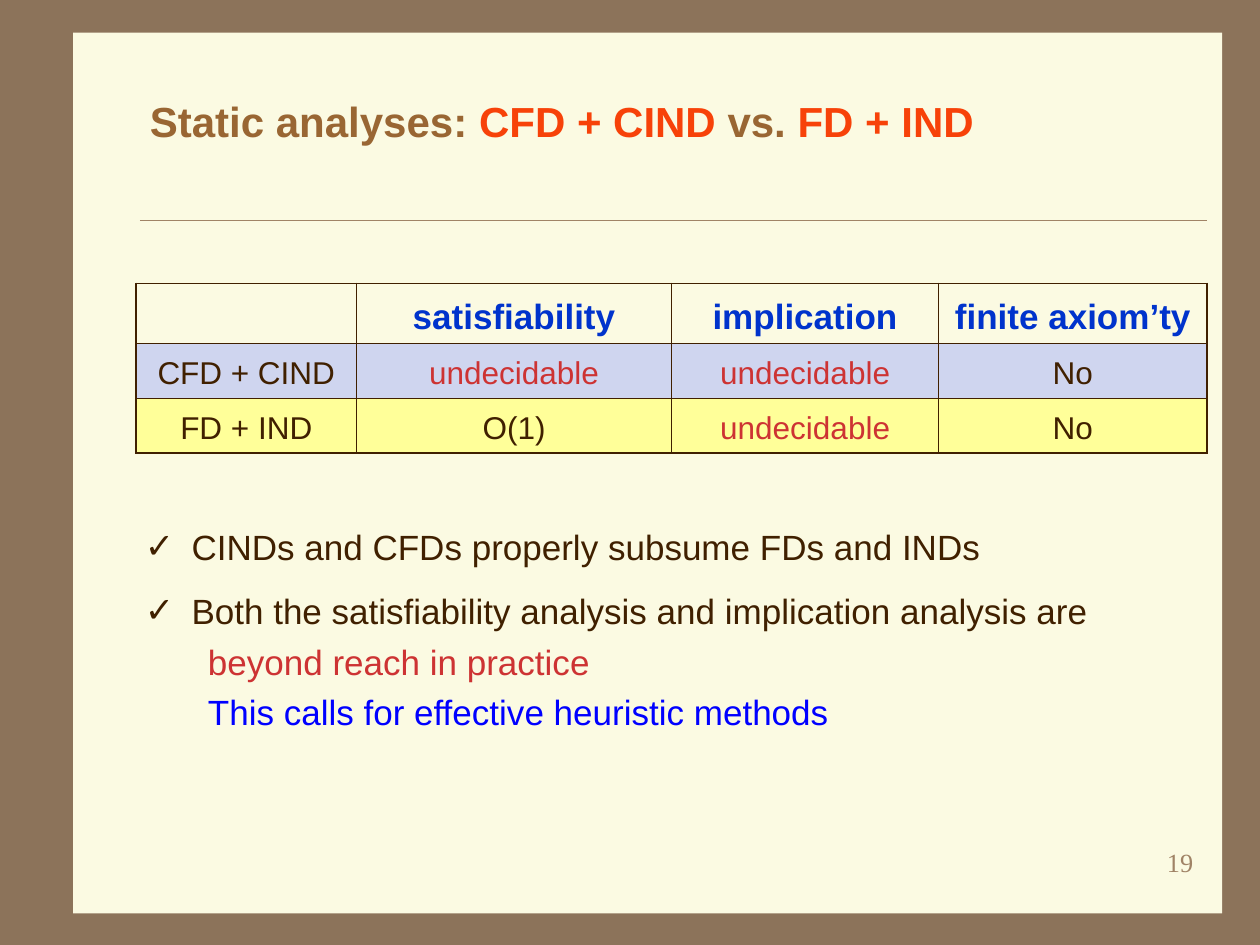
from lxml.etree import SubElement
from pptx import Presentation
from pptx.dml.color import RGBColor
from pptx.enum.shapes import MSO_CONNECTOR, MSO_SHAPE
from pptx.enum.text import MSO_ANCHOR, MSO_AUTO_SIZE, PP_ALIGN
from pptx.oxml.ns import qn
from pptx.util import Inches, Pt

C = dict(frame="8C735A", panel="FBFAE2", rule="A08366", title="996633",
         accent="F74209", head="0033CC", text="402000", warn="CD3333",
         call="0000FF", lilac="CFD5EF", yellow="FFFF99")

TITLE = [("Static analyses: ", "title"), ("CFD + CIND", "accent"),
         (" vs. ", "title"), ("FD + IND", "accent")]
ROWS = [["", "satisfiability", "implication", "finite axiom’ty"],
        ["CFD + CIND", "undecidable", "undecidable", "No"],
        ["FD + IND", "O(1)", "undecidable", "No"]]
ROW_FILLS = [None, "lilac", "yellow"]
COL_WIDTHS = [1.75, 2.5, 2.12, 2.13]
ROW_HEIGHT = 0.42
POINTS = [("CINDs and CFDs properly subsume FDs and INDs", 0, "text"),
          ("Both the satisfiability analysis and implication analysis are", 0, "text"),
          ("beyond reach in practice", 1, "warn"),
          ("This calls for effective heuristic methods", 1, "call")]
LEVELS = [dict(before=12.5, left=0.37, indent=-0.37), dict(before=5, left=0.5, indent=0)]
LEFT, WIDTH = 1.08, 8.5
THIN, THICK = 0.45, 1.08


def rgb(name):
    return RGBColor.from_string(C[name])


def add_run(p, text, color, size, bold=False, font="Arial"):
    r = p.add_run()
    r.text = text
    for key, value in dict(name=font, size=Pt(size), bold=bold).items():
        setattr(r.font, key, value)
    r.font.color.rgb = rgb(color)


def place(sp, *box):
    for key, value in zip(("left", "top", "width", "height"), box):
        setattr(sp, key, Inches(value))


def set_frame(tf, anchor, x=0.11, y=0.05):
    values = dict(margin_left=Inches(x), margin_right=Inches(x), margin_top=Inches(y),
                  margin_bottom=Inches(y), word_wrap=True,
                  auto_size=MSO_AUTO_SIZE.NONE, vertical_anchor=anchor)
    for key, value in values.items():
        setattr(tf, key, value)


def add_color(parent, name):
    SubElement(parent, qn("a:srgbClr"), val=C[name])


def set_borders(cell, row, col):
    outer = dict(L=col == 0, R=col == len(COL_WIDTHS) - 1,
                 T=row == 0, B=row == len(ROWS) - 1)
    tc_pr = cell._tc.get_or_add_tcPr()
    for side, is_outer in outer.items():
        ln = SubElement(tc_pr, qn(f"a:ln{side}"), w=str(Pt(THICK if is_outer else THIN)))
        add_color(SubElement(ln, qn("a:solidFill")), "text")


def add_background(s):
    s.background.fill.solid()
    s.background.fill.fore_color.rgb = rgb("frame")
    panel = s.shapes.add_shape(MSO_SHAPE.RECTANGLE, 0, 0, 0, 0)
    place(panel, 0.58, 0.26, 9.12, 6.99)
    panel.shadow.inherit = False
    panel.fill.solid()
    panel.fill.fore_color.rgb = rgb("panel")
    panel.line.fill.background()
    rule = s.shapes.add_connector(MSO_CONNECTOR.STRAIGHT, Inches(1.11), Inches(1.75),
                                  Inches(LEFT + WIDTH), Inches(1.75))
    rule.line.color.rgb = rgb("rule")
    rule.line.width = Pt(0.25)
    SubElement(rule._element.spPr, qn("a:effectLst"))
    for index, sp in enumerate((panel, rule), 2):
        s.shapes._spTree.insert(index, sp._element)


def add_title(s):
    sp = s.shapes.title
    place(sp, LEFT, 0.5, WIDTH, 0.91)
    set_frame(sp.text_frame, MSO_ANCHOR.MIDDLE)
    p = sp.text_frame.paragraphs[0]
    p.alignment = PP_ALIGN.LEFT
    for text, color in TITLE:
        add_run(p, text, color, 24, True)


def add_grid(s):
    table = s.shapes.add_table(len(ROWS), len(COL_WIDTHS), Inches(LEFT), Inches(2.25),
                               Inches(WIDTH), Inches(ROW_HEIGHT * len(ROWS))).table
    for column, width in zip(table.columns, COL_WIDTHS):
        column.width = Inches(width)
    for i, row in enumerate(ROWS):
        size = 18 if i else 20
        for j, text in enumerate(row):
            cell = table.cell(i, j)
            set_borders(cell, i, j)
            if ROW_FILLS[i]:
                cell.fill.solid()
                cell.fill.fore_color.rgb = rgb(ROW_FILLS[i])
            else:
                cell.fill.background()
            p = cell.text_frame.paragraphs[0]
            p.alignment, p.line_spacing, p.space_before = PP_ALIGN.CENTER, 1.2, Pt(size / 4)
            color = "head" if i == 0 else "warn" if text == "undecidable" else "text"
            if text:
                add_run(p, text, color, size, i == 0)


def add_points(s):
    sp = s.placeholders[1]
    place(sp, 1.15, 4.17, 7.57, 1.65)
    tf = sp.text_frame
    set_frame(tf, MSO_ANCHOR.TOP, 0, 0)
    for i, (text, level, color) in enumerate(POINTS):
        p = tf.add_paragraph() if i else tf.paragraphs[0]
        p.level = level
        p.space_before = Pt(LEVELS[level]["before"])
        p_pr = p._p.get_or_add_pPr()
        p_pr.set("marL", str(Inches(LEVELS[level]["left"])))
        p_pr.set("indent", str(Inches(LEVELS[level]["indent"])))
        if level:
            SubElement(p_pr, qn("a:buNone"))
        else:
            add_color(SubElement(p_pr, qn("a:buClr")), "text")
            SubElement(p_pr, qn("a:buChar"), char="✓")
        add_run(p, text, color, 20)


def add_number(s):
    sp = s.shapes.add_textbox(0, 0, 0, 0)
    place(sp, 7.5, 6.67, 2.08, 0.5)
    set_frame(sp.text_frame, MSO_ANCHOR.TOP)
    p = sp.text_frame.paragraphs[0]
    p.alignment = PP_ALIGN.RIGHT
    add_run(p, "19", "rule", 15, font="Times New Roman")


def main():
    prs = Presentation()
    prs.slide_width, prs.slide_height = Inches(10), Inches(7.5)
    s = prs.slides.add_slide(prs.slide_layouts[1])
    for build in (add_background, add_title, add_grid, add_points, add_number):
        build(s)
    prs.save("out.pptx")


if __name__ == "__main__":
    main()
